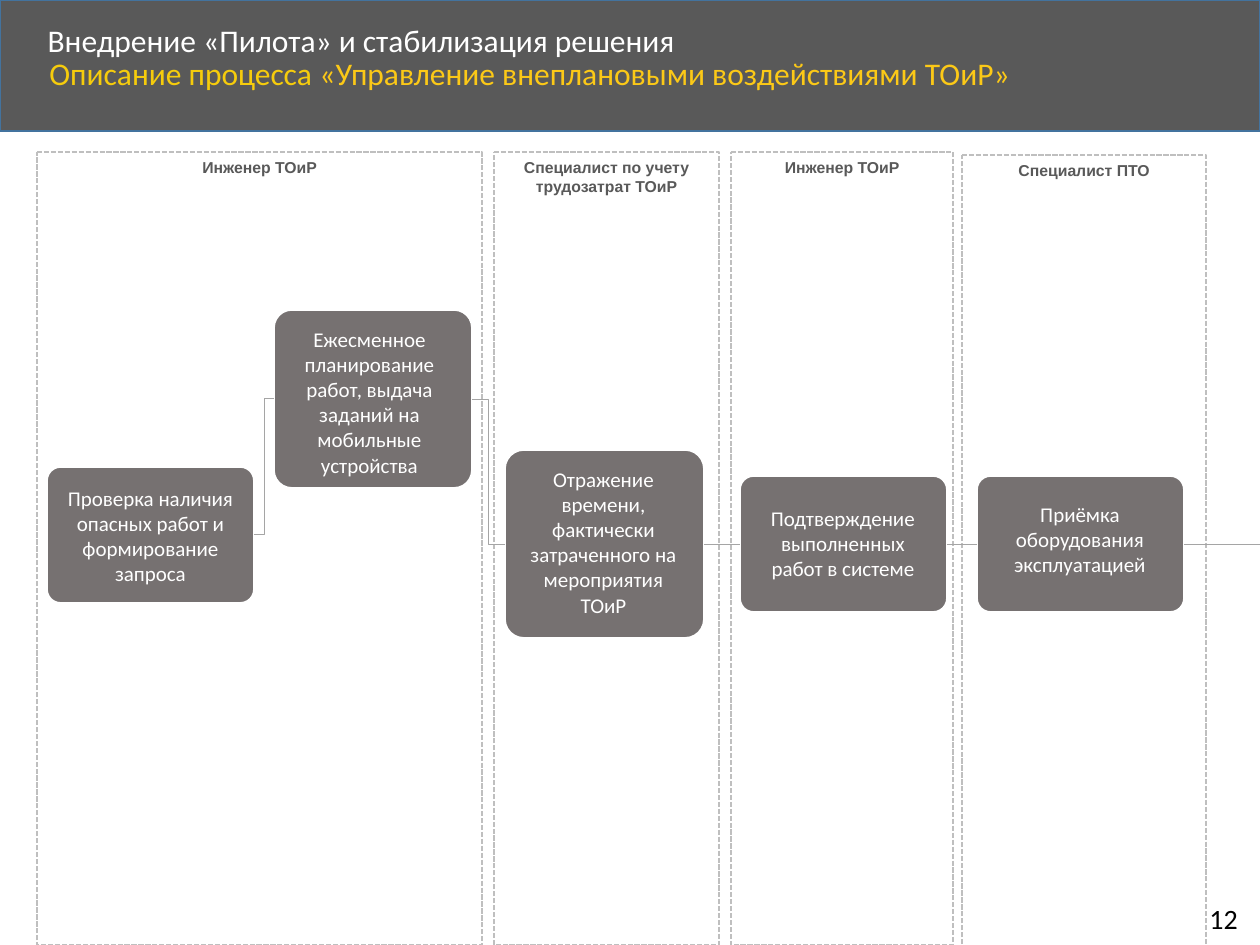
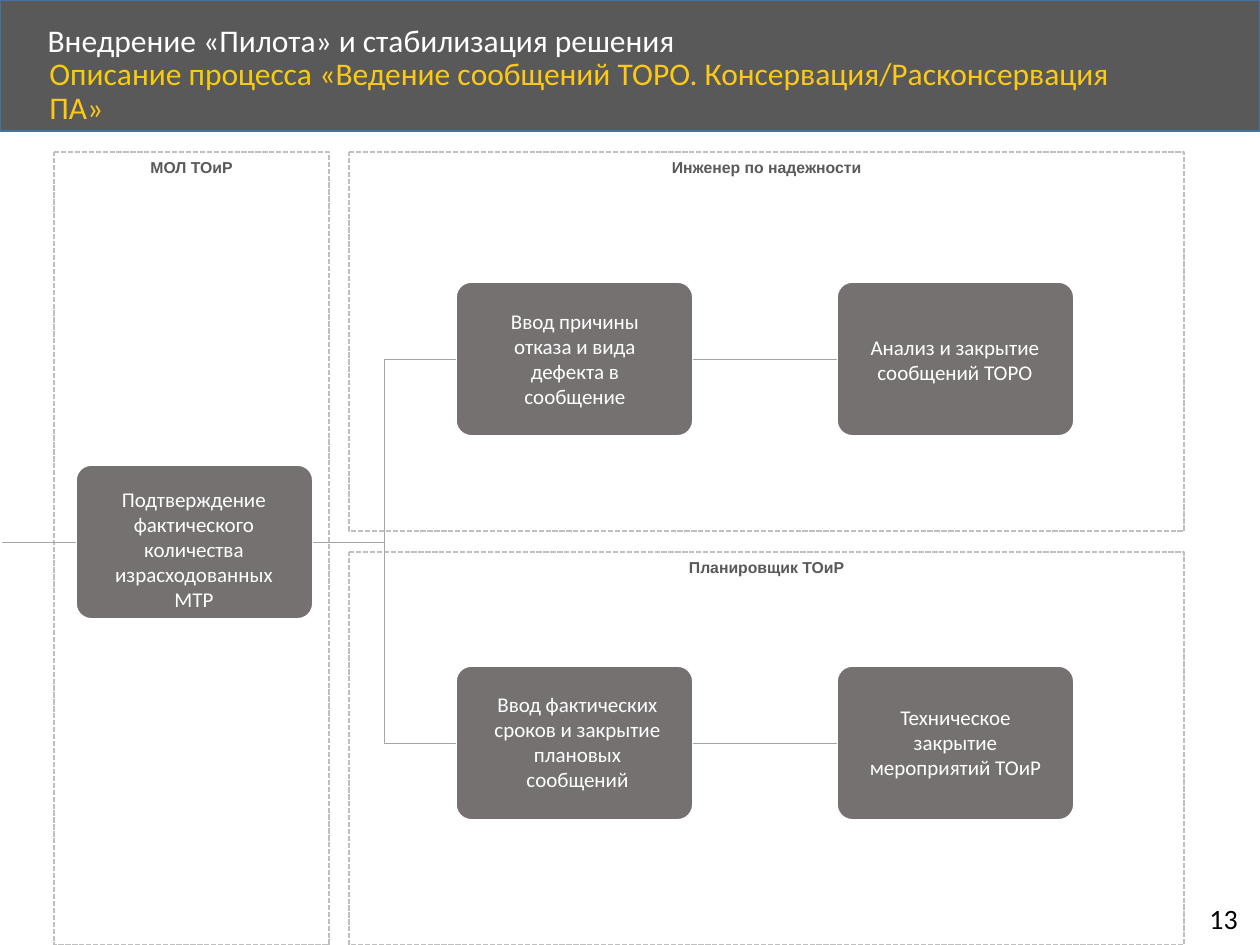
from lxml.etree import SubElement
from pptx import Presentation
from pptx.dml.color import RGBColor
from pptx.enum.dml import MSO_LINE
from pptx.enum.shapes import MSO_CONNECTOR as LINK, MSO_SHAPE as SHAPE
from pptx.enum.text import MSO_ANCHOR as ANCHOR, MSO_AUTO_SIZE as FIT, PP_ALIGN as ALIGN
from pptx.oxml.ns import qn
from pptx.util import Pt

PX = 914400 / 126
WHITE = RGBColor(0xFF, 0xFF, 0xFF)
BLACK = RGBColor(0, 0, 0)
DARK_GREY = RGBColor(0x59, 0x59, 0x59)
CARD_GREY = RGBColor(0x76, 0x71, 0x71)
LANE_GREY = RGBColor(0xBF, 0xBF, 0xBF)
LINK_GREY = RGBColor(0xA5, 0xA5, 0xA5)
BAND_BLUE = RGBColor(0x43, 0x73, 0x9E)
YELLOW = RGBColor(0xF6, 0xCC, 0x0C)
AMBER = RGBColor(0xFC, 0xC9, 0x17)

HEADING = dict(name="Calibri", size=Pt(18))
LANE_FONT = dict(name="Arial", size=Pt(9), bold=True)
CARD_FONT = dict(name="Calibri", size=Pt(12))
NUMBER_FONT = dict(name="Calibri", size=Pt(16))


def emu(*lengths):
    return [round(length * PX) for length in lengths]


def write(shape, runs, font, align=ALIGN.LEFT, anchor=ANCHOR.TOP, spacing=None, wrap=True):
    """Fill a shape with one paragraph of (text, colour) runs."""
    frame = shape.text_frame
    frame.auto_size = FIT.NONE
    frame.word_wrap = wrap
    frame.vertical_anchor = anchor
    paragraph = frame.paragraphs[0]
    paragraph.alignment = align
    paragraph.line_spacing = spacing
    for text, colour in runs:
        run = paragraph.add_run()
        run.text = text
        for attribute, value in font.items():
            setattr(run.font, attribute, value)
        run.font.color.rgb = colour


# Lanes: role, box. Cards: box, text, text box.
# Links: a card index or a free point at either end.
processes = [
    dict(
        number="12",
        process="«Управление внеплановыми воздействиями ТОиР»",
        lanes=[
            ("Инженер ТОиР", (37, 152, 445, 793)),
            ("Специалист по учету трудозатрат ТОиР", (494, 152, 225, 793)),
            ("Инженер ТОиР", (731, 152, 222, 793)),
            ("Специалист ПТО", (962, 155, 244, 793)),
        ],
        cards=[
            ((47, 467, 207, 136), "Проверка наличия опасных работ и формирование запроса",
             (47, 479, 207, 115)),
            ((274, 310, 198, 178),
             "Ежесменное планирование работ, выдача заданий на мобильные устройства",
             (268, 320, 203, 165)),
            ((505, 450, 199, 188),
             "Отражение времени, фактически затраченного на мероприятия ТОиР",
             (514, 460, 179, 165)),
            ((740, 476, 207, 136), "Подтверждение выполненных работ в системе",
             (749, 499, 188, 89)),
            ((977, 476, 207, 136), "Приёмка оборудования эксплуатацией",
             (985, 495, 190, 89)),
        ],
        links=[(0, 1), (1, 2), (2, 3), (3, 4), (4, (1260, 544))],
    ),
    dict(
        number="13",
        process="«Ведение сообщений ТОРО. Консервация/Расконсервация ПА»",
        lanes=[
            ("МОЛ ТОиР", (54, 152, 275, 793)),
            ("Инженер по надежности", (349, 152, 835, 379)),
            ("Планировщик ТОиР", (349, 552, 835, 393)),
        ],
        cards=[
            ((76, 465, 237, 154), "Подтверждение фактического количества израсходованных МТР",
             (88, 480, 212, 140)),
            ((456, 282, 237, 154), "Ввод причины отказа и вида дефекта в сообщение",
             (469, 302, 212, 115)),
            ((837, 282, 237, 154), "Анализ и закрытие сообщений ТОРО",
             (849, 328, 212, 63)),
            ((456, 666, 237, 154), "Ввод фактических сроков и закрытие плановых сообщений",
             (473, 685, 209, 115)),
            ((837, 666, 237, 154), "Техническое закрытие мероприятий ТОиР",
             (851, 698, 209, 89)),
        ],
        links=[((2, 542), 0), (0, 1), (0, 3), (1, 2), (3, 4)],
    ),
]

prs = Presentation()
prs.slide_width, prs.slide_height = emu(1260, 945)
title_only = prs.slide_layouts[5]

for page in processes:
    slide = prs.slides.add_slide(title_only)
    shapes = slide.shapes

    # Title band, kept behind the title
    band = shapes.add_shape(SHAPE.RECTANGLE, *emu(0, 0, 1260, 131))
    band.shadow.inherit = False
    band.fill.solid()
    band.fill.fore_color.rgb = DARK_GREY
    band.line.color.rgb = BAND_BLUE
    band.line.width = Pt(1)
    title = shapes.title
    title.element.addprevious(band.element)

    # Title, process name and page number
    title.left, title.top, title.width, title.height = emu(35, 18, 1017, 48)
    write(title, [("Внедрение «Пилота» и стабилизация решения", WHITE)], HEADING,
          anchor=ANCHOR.MIDDLE, spacing=0.9)
    subtitle = shapes.add_textbox(*emu(37, 52, 1092, 57))
    write(subtitle, [("Описание процесса ", YELLOW), (page["process"], AMBER)], HEADING,
          spacing=0.9)
    page_number = shapes.add_textbox(*emu(1197, 895, 58, 47))
    write(page_number, [(page["number"], BLACK)], NUMBER_FONT, wrap=False)

    # Role lanes
    for role, box in page["lanes"]:
        lane = shapes.add_shape(SHAPE.ROUNDED_RECTANGLE, *emu(*box))
        lane.adjustments[0] = 0
        lane.shadow.inherit = False
        lane.fill.background()
        lane.line.color.rgb = LANE_GREY
        lane.line.width = Pt(1)
        lane.line.dash_style = MSO_LINE.SQUARE_DOT
        write(lane, [(role, DARK_GREY)], LANE_FONT, ALIGN.CENTER)

    # Step cards and their texts
    steps = []
    for box, text, text_box in page["cards"]:
        step = shapes.add_shape(SHAPE.ROUNDED_RECTANGLE, *emu(*box))
        step.adjustments[0] = 0.1
        step.shadow.inherit = False
        step.fill.solid()
        step.fill.fore_color.rgb = CARD_GREY
        step.line.color.rgb = WHITE
        step.line.width = Pt(1)
        steps.append(step)
        label = shapes.add_textbox(*emu(*text_box))
        write(label, [(text, WHITE)], CARD_FONT, ALIGN.CENTER)

    # Links run from the right side of one step to the left side of the next
    for start, end in page["links"]:
        points = []
        for stop, at_right in ((start, True), (end, False)):
            if isinstance(stop, int):
                left, top, width, height = page["cards"][stop][0]
                stop = (left + width * at_right, top + height // 2)
            points.append(stop)
        (x1, y1), (x2, y2) = points
        kind = LINK.STRAIGHT if y1 == y2 else LINK.ELBOW
        link = shapes.add_connector(kind, *emu(x1, y1, x2, y2))
        if isinstance(start, int):
            link.begin_connect(steps[start], 3)
        if isinstance(end, int):
            link.end_connect(steps[end], 1)
        link.line.color.rgb = LINK_GREY
        link.line.width = Pt(0.5)
        SubElement(link.element.spPr, qn("a:effectLst"))

prs.save("out.pptx")
